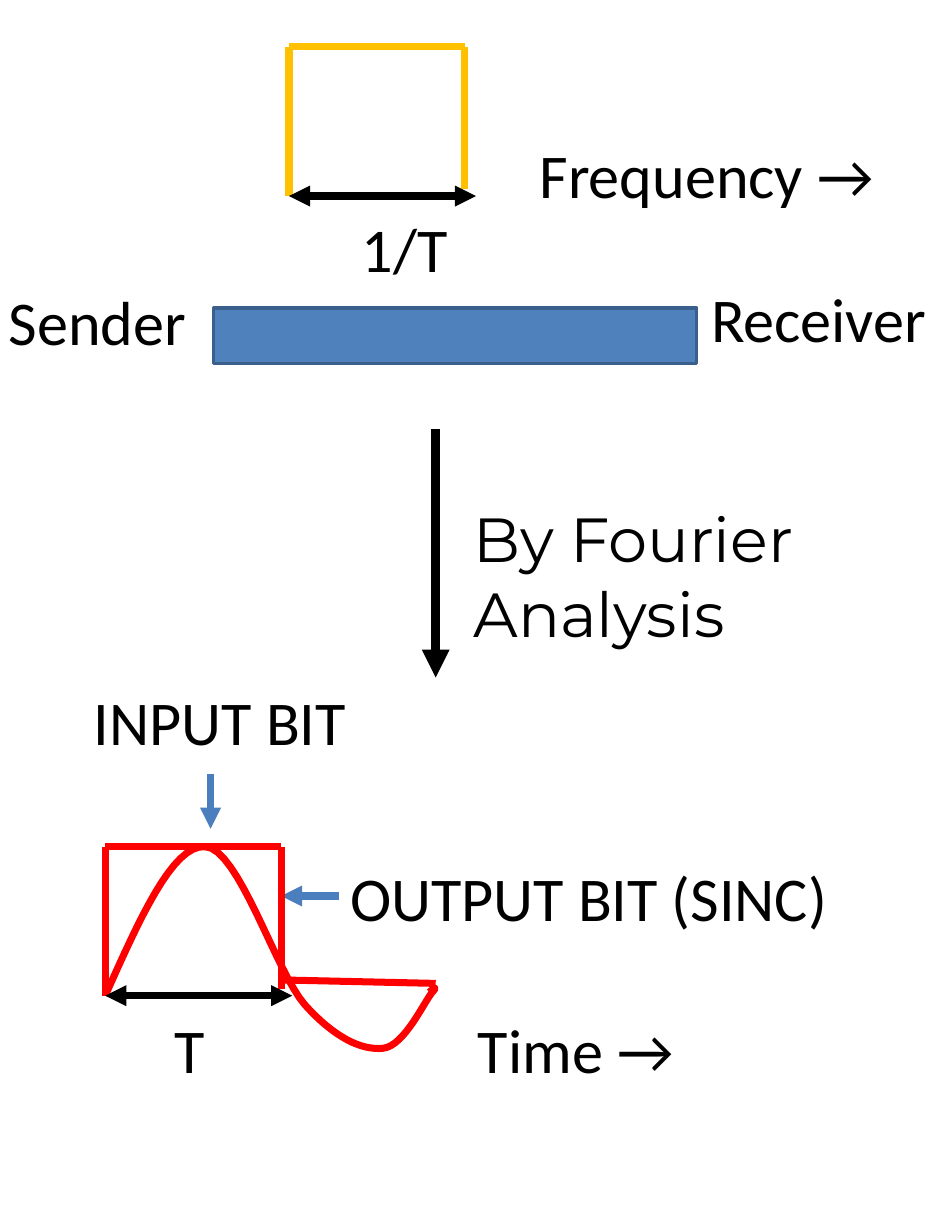
import pptx
import pptx.dml.color
import pptx.enum.shapes
import pptx.enum.text
import pptx.oxml.ns
import pptx.util
from lxml import etree

Pt = pptx.util.Pt
RGBColor = pptx.dml.color.RGBColor

BLACK = RGBColor(0x00, 0x00, 0x00)
RED = RGBColor(0xFF, 0x00, 0x00)
GOLD = RGBColor(0xFF, 0xC0, 0x00)
ARROW_BLUE = RGBColor(0x4B, 0x7E, 0xBC)
CHANNEL_FILL = RGBColor(0x4F, 0x81, 0xBD)
CHANNEL_LINE = RGBColor(0x3A, 0x5F, 0x8C)

LABEL_HEIGHT = 55.4
LABEL_FONT = {"name": "Calibri", "size": Pt(40)}
FOURIER_FONT = {"name": "Montserrat", "size": Pt(40)}
FRAME_FORMAT = {"word_wrap": False,
                "auto_size": pptx.enum.text.MSO_AUTO_SIZE.SHAPE_TO_FIT_TEXT}

SINC_START = (0, 95.8)
SINC_SEGMENTS = [
    ((21.6, 47.5), (43.2, -1.4), (64.1, 0)),
    ((85.7, 0.7), (109.4, 79.9), (128.2, 101.5)),
    ((147.6, 123.1), (164.9, 131), (178.6, 129.6)),
    ((192.2, 128.2), (205.2, 99.4), (210.2, 93.6)),
    ((215.3, 87.8), (208.1, 93.6), (208.1, 93.6)),
]
CURVE_STEPS = 16


def add_label(slide, left, top, width, lines, height=LABEL_HEIGHT, font=LABEL_FONT):
    shape = slide.shapes.add_textbox(Pt(left), Pt(top), Pt(width), Pt(height))
    frame = shape.text_frame
    for name, value in FRAME_FORMAT.items():
        setattr(frame, name, value)
    frame.text = "\n".join(lines)
    for paragraph in frame.paragraphs:
        for name, value in font.items():
            setattr(paragraph.font, name, value)
        paragraph.font.color.rgb = BLACK


def add_line(slide, start, end, color, width=4.5, arrowheads=()):
    connector = slide.shapes.add_connector(
        pptx.enum.shapes.MSO_CONNECTOR.STRAIGHT,
        Pt(start[0]), Pt(start[1]), Pt(end[0]), Pt(end[1]))
    connector.line.color.rgb = color
    connector.line.width = Pt(width)
    line = connector.line._get_or_add_ln()
    for arrowhead in arrowheads:
        etree.SubElement(line, pptx.oxml.ns.qn(f"a:{arrowhead}"), type="triangle")
    etree.SubElement(connector._element.spPr, pptx.oxml.ns.qn("a:effectLst"))


def add_pulse(slide, left, top, width, height, color):
    right, bottom = left + width, top + height
    add_line(slide, (left, bottom), (left, top), color)
    add_line(slide, (left, top), (right, top), color)
    add_line(slide, (right, top), (right, bottom - 4.3), color)
    add_line(slide, (left, bottom), (right + 7.2, bottom), BLACK,
             arrowheads=("headEnd", "tailEnd"))


def sinc_points():
    points = [SINC_START]
    for first, second, end in SINC_SEGMENTS:
        start = points[-1]
        for step in range(1, CURVE_STEPS + 1):
            t = step / CURVE_STEPS
            u = 1 - t
            points.append(tuple(
                u**3 * a + 3 * u * u * t * b + 3 * u * t * t * c + t**3 * d
                for a, b, c, d in zip(start, first, second, end)))
    return points


def add_sinc(slide, left, top):
    points = [(Pt(left + x), Pt(top + y)) for x, y in sinc_points()]
    builder = slide.shapes.build_freeform(*points[0])
    builder.add_line_segments(points[1:], close=False)
    shape = builder.convert_to_shape()
    shape.shadow.inherit = False
    shape.fill.background()
    shape.line.color.rgb = RED
    shape.line.width = Pt(4.5)


def add_frequency_region(slide, left, top, width, height):
    add_pulse(slide, left, top, width, height, GOLD)
    add_label(slide, left + 154, top + 54, 234.7, ["Frequency →"])
    add_label(slide, left + 39.6, top + 101.5, 70.6, ["1/T"])


def add_channel_region(slide, left, top, width, height):
    shape = slide.shapes.add_shape(
        pptx.enum.shapes.MSO_SHAPE.RECTANGLE, Pt(left), Pt(top), Pt(width), Pt(height))
    shape.shadow.inherit = False
    shape.fill.solid()
    shape.fill.fore_color.rgb = CHANNEL_FILL
    shape.line.color.rgb = CHANNEL_LINE
    shape.line.width = Pt(2)
    add_label(slide, left - 139, top - 19.4, 129.6, ["Sender"])
    add_label(slide, left + width + 2.2, top - 21.6, 154, ["Receiver"])


def add_fourier_region(slide, left, top, height):
    add_line(slide, (left, top), (left, top + height), BLACK, 6, ("tailEnd",))
    add_label(slide, left + 17.3, top + 42.5, 239.8, ["By Fourier", "Analysis"],
              104.4, FOURIER_FONT)


def add_time_region(slide, left, top, width, height):
    add_sinc(slide, left, top)
    add_line(slide, (left + 67.7, top - 46.8), (left + 67.7, top - 11.5), ARROW_BLUE,
             arrowheads=("tailEnd",))
    add_line(slide, (left + 150.5, top + 31.7), (left + width, top + 31.7), ARROW_BLUE,
             arrowheads=("tailEnd",))
    add_line(slide, (left + 115.2, top + 85.7), (left + 212.4, top + 87.9), RED)
    add_label(slide, left + 150.5, top + 4.3, 324, ["OUTPUT BIT (SINC)"])
    add_label(slide, left - 14.4, top - 108.7, 178.6, ["INPUT BIT"])
    add_pulse(slide, left, top, width, height, RED)
    add_label(slide, left + 232.5, top + 102.3, 144.7, ["Time →"])
    add_label(slide, left + 37.4, top + 102.3, 34.6, ["T"])


def main():
    presentation = pptx.Presentation()
    presentation.slide_width = Pt(612)
    presentation.slide_height = Pt(792)
    slide = presentation.slides.add_slide(presentation.slide_layouts[6])
    add_time_region(slide, 67.7, 544.3, 113, 95.8)
    add_channel_region(slide, 137.5, 198, 310.3, 36)
    add_frequency_region(slide, 185.8, 30.2, 113, 95.8)
    add_fourier_region(slide, 280.1, 275.8, 159.8)
    presentation.save("out.pptx")


if __name__ == "__main__":
    main()
